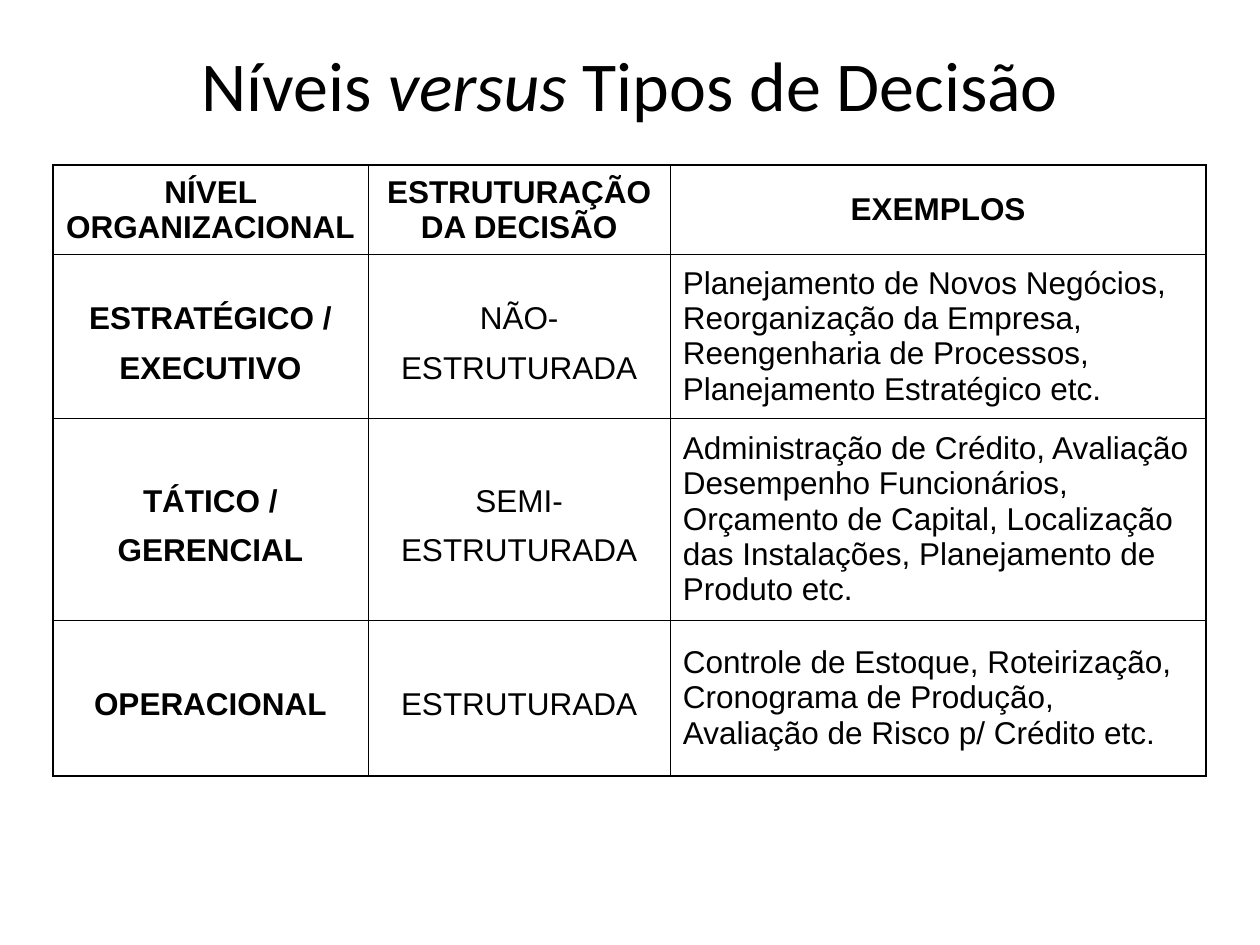
import pptx
import pptx.util
import pptx.dml.color
import pptx.enum.text
import pptx.oxml.ns
from dataclasses import dataclass
from lxml import etree

Inches, Pt = pptx.util.Inches, pptx.util.Pt
ALIGN, ANCHOR = pptx.enum.text.PP_ALIGN, pptx.enum.text.MSO_ANCHOR
WIDE, HIGH = 10, 7.5


@dataclass(frozen=True)
class Theme:
    ink: str = "000000"
    head: str = "Calibri"
    body: str = "Arial"
    title: int = 40
    cell: int = 18
    thin: float = 0.45
    thick: float = 1.08


THEME = Theme()
LEFT, TOP = 0.42, 1.31
COLS = [2.5, 2.4, 4.25]
ROWS = [0.71, 1.3, 1.6, 1.24]
DATA = [
    ["NÍVEL ORGANIZACIONAL", "ESTRUTURAÇÃO DA DECISÃO", "EXEMPLOS"],
    ["ESTRATÉGICO / EXECUTIVO", "NÃO-ESTRUTURADA",
     "Planejamento de Novos Negócios, Reorganização da Empresa, "
     "Reengenharia de Processos, Planejamento Estratégico etc."],
    ["TÁTICO / GERENCIAL", "SEMI-ESTRUTURADA",
     "Administração de Crédito, Avaliação Desempenho Funcionários, "
     "Orçamento de Capital, Localização das Instalações, "
     "Planejamento de Produto etc."],
    ["OPERACIONAL", "ESTRUTURADA",
     "Controle de Estoque, Roteirização, Cronograma de Produção, "
     "Avaliação de Risco p/ Crédito etc."],
]


def style(run, face, size, bold=False, slant=False):
    font = run.font
    font.name, font.size = face, Pt(size)
    font.bold, font.italic = bold, slant
    font.color.rgb = pptx.dml.color.RGBColor.from_string(THEME.ink)


def add_title(slide):
    shape = slide.shapes.title
    shape.left, shape.top = 0, Inches(0.052 * HIGH)
    shape.width, shape.height = Inches(WIDE), Inches(0.073 * HIGH)
    frame = shape.text_frame
    frame.auto_size = pptx.enum.text.MSO_AUTO_SIZE.NONE
    frame.vertical_anchor = ANCHOR.MIDDLE
    para = frame.paragraphs[0]
    para.alignment = ALIGN.CENTER
    for text, slant in [("Níveis ", False), ("versus ", True),
                        ("Tipos de Decisão", False)]:
        run = para.add_run()
        run.text = text
        style(run, THEME.head, THEME.title, slant=slant)


def add_edge(cell, side, width):
    props = cell._tc.get_or_add_tcPr()
    qn = pptx.oxml.ns.qn
    line = etree.SubElement(props, qn(f"a:ln{side}"), w=str(Pt(width)))
    fill = etree.SubElement(line, qn("a:solidFill"))
    etree.SubElement(fill, qn("a:srgbClr"), val=THEME.ink)


def fill_cell(cell, text, row, col):
    # Outer edges are thick, inner ones thin
    outer = {"L": col == 0, "R": col == len(COLS) - 1,
             "T": row == 0, "B": row == len(ROWS) - 1}
    for side, edge in outer.items():
        add_edge(cell, side, THEME.thick if edge else THEME.thin)
    cell.fill.background()
    cell.vertical_anchor = ANCHOR.MIDDLE
    cell.text_frame.text = text
    para = cell.text_frame.paragraphs[0]
    label = col < 2
    para.alignment = ALIGN.CENTER if row == 0 or label else ALIGN.LEFT
    para.space_before = Pt(4.5)
    if row and label:
        para.line_spacing = 1.4
    style(para.runs[0], THEME.body, THEME.cell, bold=row == 0 or col == 0)


def add_grid(slide):
    frame = slide.shapes.add_table(
        len(ROWS), len(COLS), Inches(LEFT), Inches(TOP),
        Inches(sum(COLS)), Inches(sum(ROWS)))
    table = frame.table
    table.first_row = table.horz_banding = False
    for col, width in zip(table.columns, COLS):
        col.width = Inches(width)
    for row, height in zip(table.rows, ROWS):
        row.height = Inches(height)
    for row, texts in enumerate(DATA):
        for col, text in enumerate(texts):
            fill_cell(table.cell(row, col), text, row, col)


def main():
    deck = pptx.Presentation()
    deck.slide_width, deck.slide_height = Inches(WIDE), Inches(HIGH)
    slide = deck.slides.add_slide(deck.slide_layouts[5])
    add_title(slide)
    add_grid(slide)
    deck.save("out.pptx")


if __name__ == "__main__":
    main()
